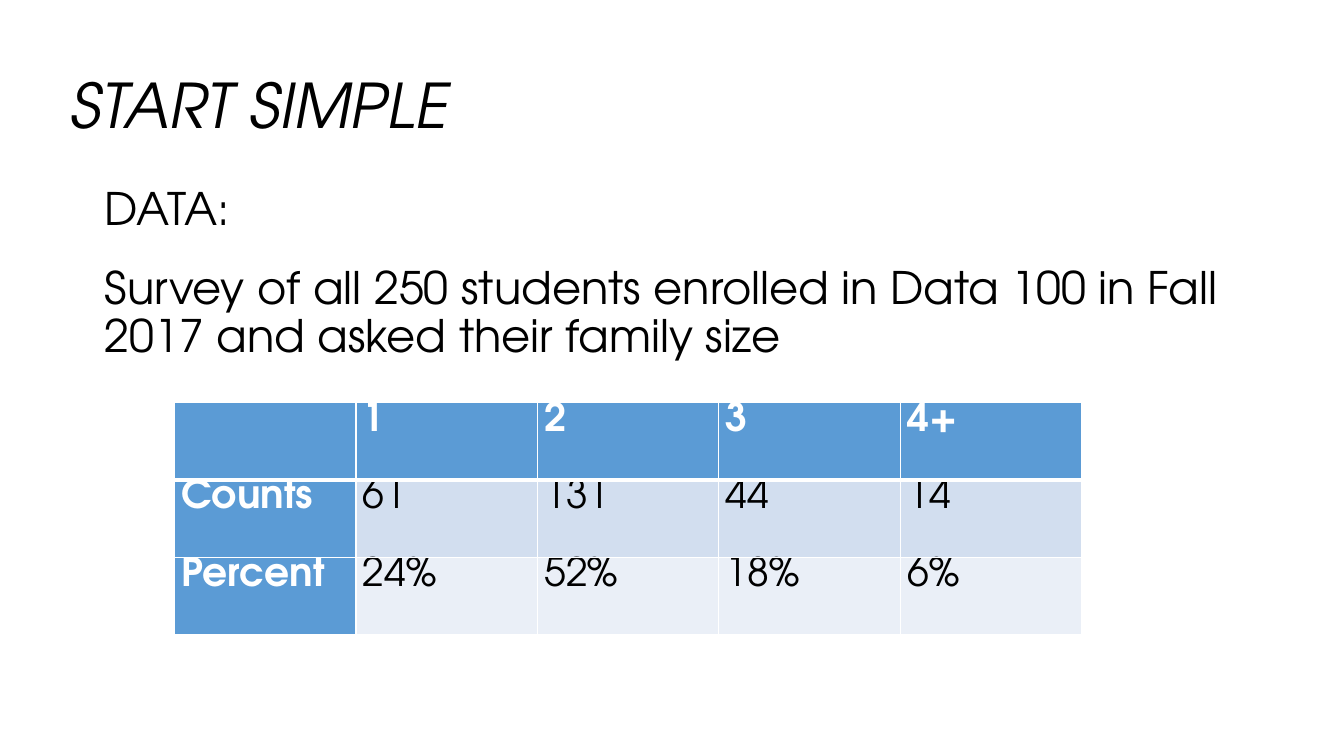
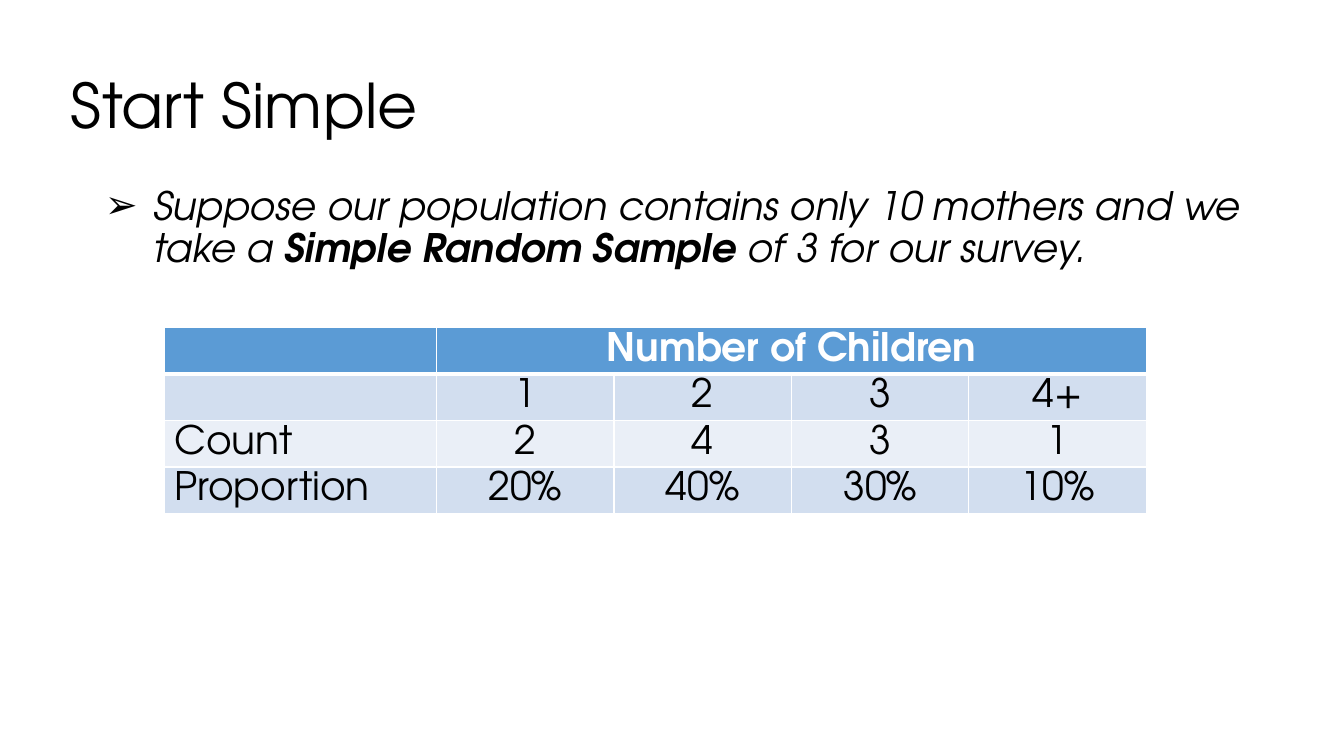
from dataclasses import dataclass

from lxml import etree
from pptx import Presentation
from pptx.dml.color import RGBColor
from pptx.enum import text
from pptx.oxml import ns
from pptx.util import Inches, Pt


@dataclass(frozen=True)
class Theme:
    font: str = "TeX Gyre Adventor"
    ink: str = "000000"
    white: str = "FFFFFF"
    header: str = "5B9BD5"
    bands: tuple = ("D2DEEF", "EAEFF7")
    title_size: int = 44
    body_size: int = 32
    list_size: int = 28
    table_size: int = 28
    title_box: tuple = (0.6, 0.35, 11.81, 1.45)
    body_box: tuple = (0.92, 1.8, 11.5, 5.02)


THEME = Theme()


def place(sp, box):
    sp.left, sp.top, sp.width, sp.height = map(Inches, box)


def style_run(r, size, color=THEME.ink, bold=False, italic=False):
    r.font.name = THEME.font
    r.font.size = Pt(size)
    r.font.color.rgb = RGBColor.from_string(color)
    r.font.bold = bold
    r.font.italic = italic


def set_bullet(p, margin, indent, char=None):
    pPr = p._p.get_or_add_pPr()
    pPr.set("marL", str(Inches(margin)))
    pPr.set("indent", str(Inches(indent)))
    if char is None:
        etree.SubElement(pPr, ns.qn("a:buNone"))
        return
    color = etree.SubElement(pPr, ns.qn("a:buClr"))
    etree.SubElement(color, ns.qn("a:srgbClr"), val=THEME.ink)
    etree.SubElement(pPr, ns.qn("a:buChar"), char=char)


def setup_layout(prs):
    layout = prs.slide_layouts[1]
    title, body = layout.placeholders[0], layout.placeholders[1]
    place(title, THEME.title_box)
    place(body, THEME.body_box)
    title.text_frame.vertical_anchor = text.MSO_ANCHOR.MIDDLE
    return layout


def add_slide(prs, layout, title, italic=False):
    s = prs.slides.add_slide(layout)
    tf = s.shapes.title.text_frame
    tf.text = title
    p = tf.paragraphs[0]
    p.alignment = text.PP_ALIGN.LEFT
    p.line_spacing = 0.9
    style_run(p.runs[0], THEME.title_size, italic=italic)
    return s


def fill_body(s, paragraphs, size, margin, indent, char=None, italic=False):
    tf = s.placeholders[1].text_frame
    tf.auto_size = text.MSO_AUTO_SIZE.NONE
    for i, pieces in enumerate(paragraphs):
        p = tf.add_paragraph() if i else tf.paragraphs[0]
        set_bullet(p, margin, indent, char)
        p.line_spacing = 0.9
        p.space_before = Pt(22 if i else 0)
        for words, bold in pieces:
            r = p.add_run()
            r.text = words
            style_run(r, size, bold=bold, italic=italic)


def set_borders(cell, top, bottom):
    tcPr = cell._tc.get_or_add_tcPr()
    for side, width in (("L", 1), ("R", 1), ("T", top), ("B", bottom)):
        ln = etree.SubElement(tcPr, ns.qn(f"a:ln{side}"), w=str(Pt(width)))
        fill = etree.SubElement(ln, ns.qn("a:solidFill"))
        etree.SubElement(fill, ns.qn("a:srgbClr"), val=THEME.white)


def add_data_table(s, left, top, widths, row_height, rows,
                   header_column=False, centered=False, margins=None):
    frame = s.shapes.add_table(len(rows), len(widths), Inches(left), Inches(top),
                               Inches(sum(widths)), Inches(row_height * len(rows)))
    table = frame.table
    table.first_col = header_column
    for column, width in zip(table.columns, widths):
        column.width = Inches(width)
    for i, values in enumerate(rows):
        table.rows[i].height = Inches(row_height)
        for j, value in enumerate(values):
            cell = table.cell(i, j)
            is_header = i == 0 or (header_column and j == 0)
            set_borders(cell, 3 if i == 1 else 1, 3 if i == 0 else 1)
            cell.fill.solid()
            color = THEME.header if is_header else THEME.bands[(i - 1) % 2]
            cell.fill.fore_color.rgb = RGBColor.from_string(color)
            if margins:
                cell.margin_left = cell.margin_right = Inches(margins[0])
                cell.margin_top = cell.margin_bottom = Inches(margins[1])
            if not value:
                continue
            cell.text_frame.text = value
            p = cell.text_frame.paragraphs[0]
            if centered and j > 0:
                p.alignment = text.PP_ALIGN.CENTER
            style_run(p.runs[0], THEME.table_size,
                      THEME.white if is_header else THEME.ink, bold=is_header)
    return table


def build_survey(prs, layout):
    s = add_slide(prs, layout, "START SIMPLE", italic=True)
    fill_body(s, [
        [("DATA:", False)],
        [("Survey of all 250 students enrolled in Data 100 in Fall 2017 "
          "and asked their family size", False)],
    ], THEME.body_size, 0.02, 0)
    add_data_table(s, 1.73, 3.99, [1.8] * 5, 0.77, [
        ["", "1", "2", "3", "4+"],
        ["Counts", "61", "131", "44", "14"],
        ["Percent", "24%", "52%", "18%", "6%"],
    ], header_column=True, margins=(0.07, 0))


def build_population(prs, layout):
    s = add_slide(prs, layout, "Start Simple")
    fill_body(s, [[
        ("Suppose our population contains only 10 mothers and we take a ", False),
        ("Simple Random Sample ", True),
        ("of 3 for our survey.", False),
    ]], THEME.list_size, 0.5, -0.48, char="➢", italic=True)
    table = add_data_table(s, 1.63, 3.25, [2.7] + [1.76] * 4, 0.41, [
        ["", "Number of Children", "", "", ""],
        ["", "1", "2", "3", "4+"],
        ["Count", "2", "4", "3", "1"],
        ["Proportion", "20%", "40%", "30%", "10%"],
    ], centered=True)
    table.cell(0, 1).merge(table.cell(0, 4))


def main():
    prs = Presentation()
    prs.slide_width, prs.slide_height = Inches(13.33), Inches(7.5)
    layout = setup_layout(prs)
    build_survey(prs, layout)
    build_population(prs, layout)
    prs.save("out.pptx")


if __name__ == "__main__":
    main()
